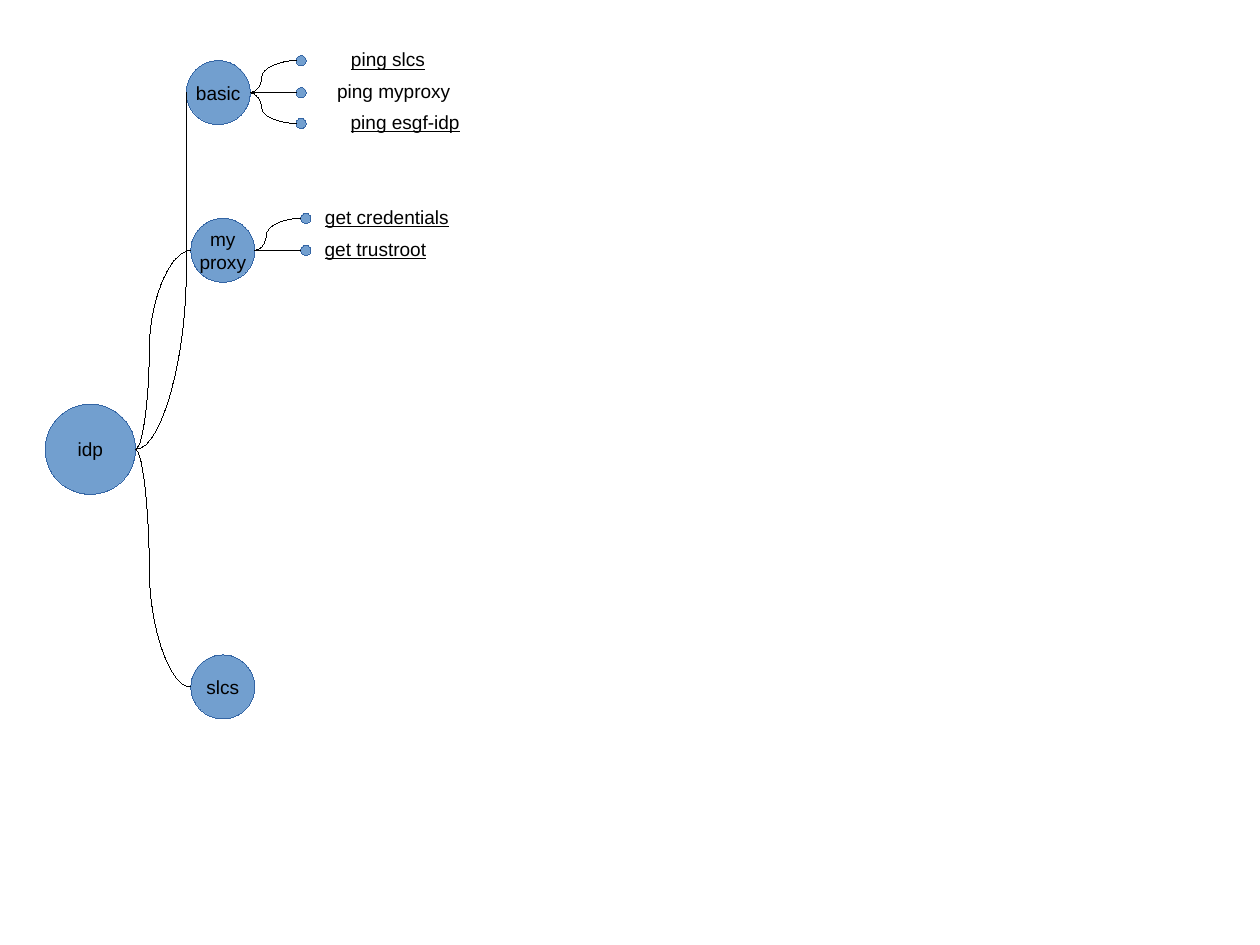
from dataclasses import dataclass

from lxml.etree import SubElement
from pptx import Presentation
from pptx.dml.color import RGBColor
from pptx.enum.shapes import MSO_CONNECTOR as Link, MSO_SHAPE as Preset
from pptx.enum.text import MSO_ANCHOR as Anchor, MSO_AUTO_SIZE as AutoSize, PP_ALIGN as Align
from pptx.oxml.ns import qn
from pptx.util import Inches, Mm, Pt


@dataclass(frozen=True)
class Theme:
    fill: RGBColor = RGBColor(0x72, 0x9F, 0xCF)
    outline: RGBColor = RGBColor(0x34, 0x65, 0xA4)
    ink: RGBColor = RGBColor(0, 0, 0)
    font: str = "Arial"
    size: Pt = Pt(12)
    hairline: Pt = Pt(0.01)  # a width of 0 would fall back to the theme's line


THEME = Theme()
ROOT_SIZE, HUB_SIZE, DOT_SIZE = 0.79, 0.56, 0.09
LEAF_GAP, LABEL_GAP = 0.4, 0.51
LABEL_HEIGHT, LABEL_RISE = 0.29, 0.16

ROOT = (0.79, 3.93)
# Hub text, centre, bend of the branch from the root,
# leaves as (text, vertical offset, label width, underlined)
BRANCHES = [
    (["my", "proxy"], (1.95, 2.19), 0.25, [
        ("get trustroot", 0, 1.09, True),
        ("get credentials", -0.28, 1.29, True),
    ]),
    (["slcs"], (1.95, 6.01), 0.25, []),
    (["basic"], (1.91, 0.81), 1, [
        ("ping myproxy", 0, 1.49, False),
        ("ping slcs", -0.28, 1.39, True),
        ("ping esgf-idp", 0.27, 1.69, True),
    ]),
]


def write_lines(frame, lines, underlined=False):
    frame.word_wrap = False
    frame.text = "\n".join(lines)
    for paragraph in frame.paragraphs:
        paragraph.alignment = Align.CENTER
        font = paragraph.font
        font.name, font.size = THEME.font, THEME.size
        font.color.rgb = THEME.ink
        if underlined:
            font.underline = True


def add_circle(slide, centre, size, lines=()):
    x, y = centre
    circle = slide.shapes.add_shape(
        Preset.OVAL, Inches(x - size / 2), Inches(y - size / 2),
        Inches(size), Inches(size))
    circle.shadow.inherit = False
    circle.fill.solid()
    circle.fill.fore_color.rgb = THEME.fill
    circle.line.color.rgb = THEME.outline
    circle.line.width = THEME.hairline
    if lines:
        circle.text_frame.vertical_anchor = Anchor.MIDDLE
        write_lines(circle.text_frame, lines)


def add_link(slide, start, end, bend=0.25):
    """Join two points: straight when level, else curved with its bend at a share of the width."""
    level = start[1] == end[1]
    link = slide.shapes.add_connector(
        Link.STRAIGHT if level else Link.CURVE,
        *(Inches(value) for value in (*start, *end)))
    link.line.color.rgb = THEME.ink
    link.line.width = THEME.hairline
    properties = link._element.spPr
    SubElement(properties, qn("a:effectLst"))
    if not level:
        guides = properties.find(qn("a:prstGeom")).get_or_add_avLst()
        SubElement(guides, qn("a:gd"), name="adj1",
                   fmla=f"val {round(bend * 100000)}")


def add_leaf(slide, stem, text, offset, width, underlined):
    """Place a dot and its label to the right of the stem point, and link them to it."""
    x, y = stem[0], stem[1] + offset
    add_circle(slide, (x + LEAF_GAP + DOT_SIZE / 2, y), DOT_SIZE)
    label = slide.shapes.add_textbox(
        Inches(x + LABEL_GAP), Inches(y - LABEL_RISE),
        Inches(width), Inches(LABEL_HEIGHT))
    label.text_frame.auto_size = AutoSize.SHAPE_TO_FIT_TEXT
    write_lines(label.text_frame, [text], underlined)
    add_link(slide, stem, (x + LEAF_GAP, y))


def add_branch(slide, root_edge, name, centre, bend, leaves):
    x, y = centre
    add_circle(slide, centre, HUB_SIZE, name)
    add_link(slide, root_edge, (x - HUB_SIZE / 2, y), bend)
    for leaf in leaves:
        add_leaf(slide, (x + HUB_SIZE / 2, y), *leaf)


def add_tree(slide):
    add_circle(slide, ROOT, ROOT_SIZE, ["idp"])
    root_edge = (ROOT[0] + ROOT_SIZE / 2, ROOT[1])
    for branch in BRANCHES:
        add_branch(slide, root_edge, *branch)


def main():
    deck = Presentation()
    deck.slide_width, deck.slide_height = Mm(280), Mm(210)
    blank_layout = deck.slide_layouts[6]
    add_tree(deck.slides.add_slide(blank_layout))
    deck.save("out.pptx")


if __name__ == "__main__":
    main()
